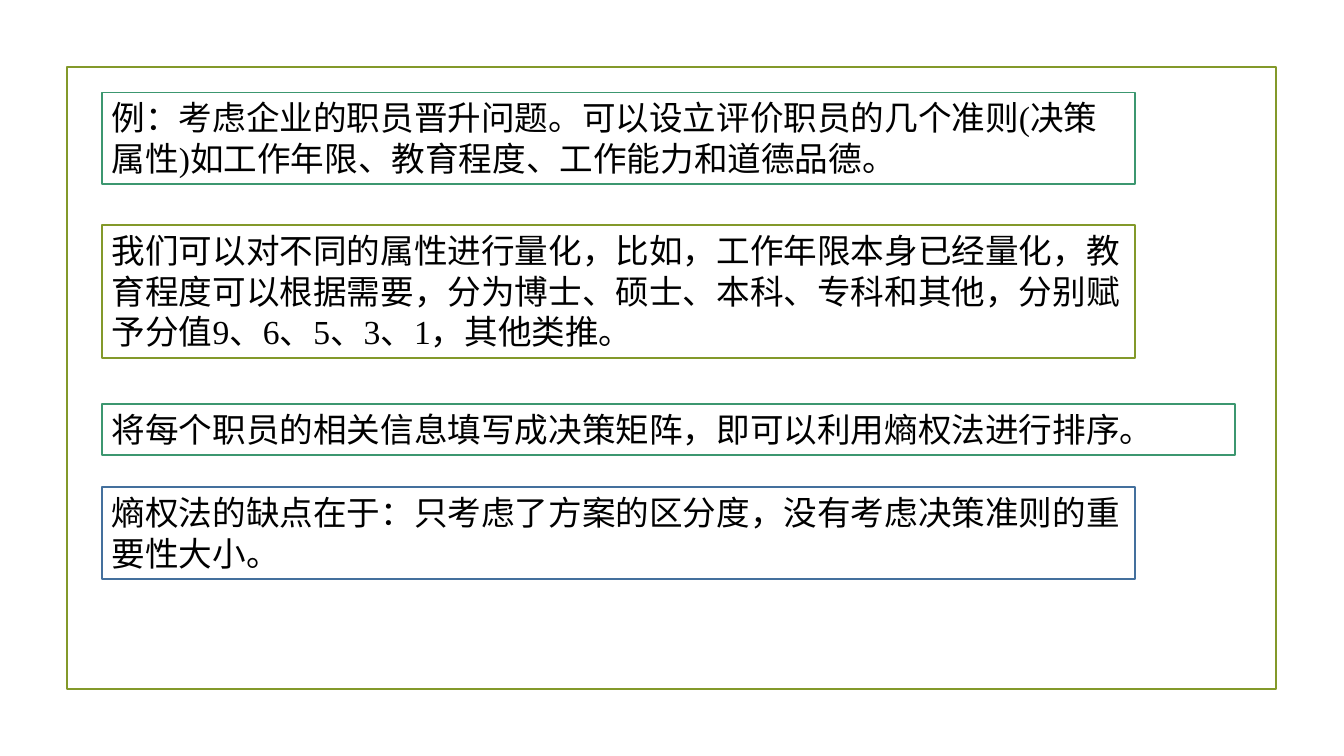
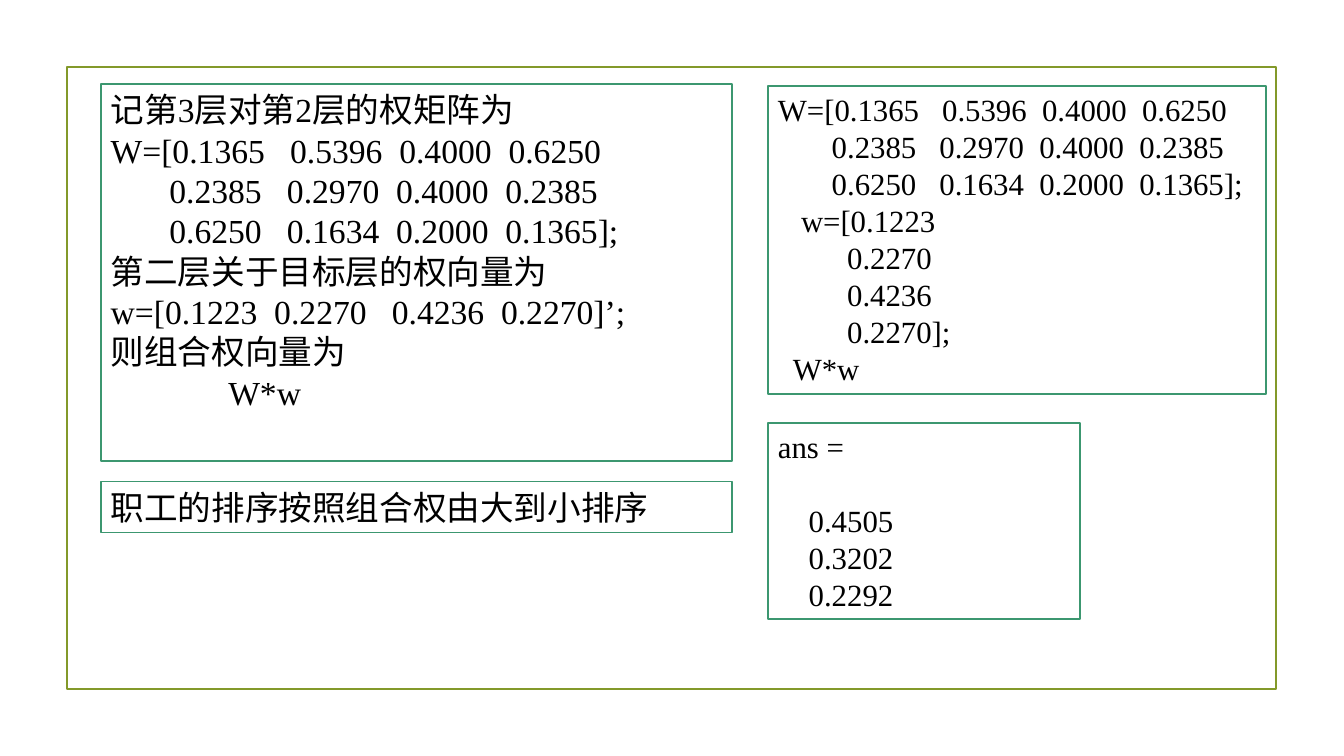
from pptx import Presentation
from pptx.dml.color import RGBColor
from pptx.enum import shapes
from pptx.util import Pt

OLIVE, GREEN, BLUE = "83992A", "3C9770", "44709D"
WHITE, BLACK = "FFFFFF", "000000"
FONT = "Times New Roman"


def rgb(value):
    return RGBColor.from_string(value)


def add_box(s, left, top, width, height, color, size, lines):
    sp = s.shapes.add_textbox(Pt(left), Pt(top), Pt(width), Pt(height))
    sp.fill.solid()
    sp.fill.fore_color.rgb = rgb(WHITE)
    sp.line.color.rgb = rgb(color)
    sp.line.width = Pt(1.25)
    tf = sp.text_frame
    tf.word_wrap = True
    for i, line in enumerate(lines):
        p = tf.paragraphs[0] if i == 0 else tf.add_paragraph()
        r = p.add_run()
        r.text = line
        r.font.name = FONT
        r.font.size = Pt(size)
        r.font.color.rgb = rgb(BLACK)
    return tf


prs = Presentation()
prs.slide_width, prs.slide_height = Pt(960), Pt(540)
blank = prs.slide_layouts[6]

s = prs.slides.add_slide(blank)
frame = s.shapes.add_shape(shapes.MSO_SHAPE.RECTANGLE, Pt(47.7), Pt(48), Pt(864), Pt(444))
frame.shadow.inherit = False
frame.fill.background()
frame.line.color.rgb = rgb(OLIVE)
frame.line.width = Pt(1.25)
prs.slide_master.shapes.element.append(frame.element)

statements = [
    (66, 738, 65.5, GREEN, "例：考虑企业的职员晋升问题。可以设立评价职员的几个准则(决策属性)如工作年限、教育程度、工作能力和道德品德。"),
    (161, 738, 94.5, OLIVE, "我们可以对不同的属性进行量化，比如，工作年限本身已经量化，教育程度可以根据需要，分为博士、硕士、本科、专科和其他，分别赋予分值9、6、5、3、1，其他类推。"),
    (288.5, 809.5, 36.4, GREEN, "将每个职员的相关信息填写成决策矩阵，即可以利用熵权法进行排序。"),
    (348, 738, 65.5, BLUE, "熵权法的缺点在于：只考虑了方案的区分度，没有考虑决策准则的重要性大小。"),
]
for top, width, height, color, line in statements:
    add_box(s, 72.7, top, width, height, color, 24, [line])

s = prs.slides.add_slide(blank)
matrix = [
    "W=[0.1365   0.5396  0.4000  0.6250",
    "       0.2385   0.2970  0.4000  0.2385",
    "       0.6250   0.1634  0.2000  0.1365];",
]
weights = [
    "记第3层对第2层的权矩阵为",
    *matrix,
    "第二层关于目标层的权向量为",
    "w=[0.1223  0.2270   0.4236  0.2270]’;",
    "则组合权向量为",
    "W*w",
]
code = [
    *matrix,
    "   w=[0.1223",
    "         0.2270",
    "         0.4236",
    "         0.2270];",
    "  W*w",
]
answer = ["ans =", "    0.4505", "    0.3202", "    0.2292"]

tf = add_box(s, 72, 60.3, 451, 269, GREEN, 24, weights)
tf.paragraphs[-1].alignment = None
p_pr = tf.paragraphs[-1]._p.get_or_add_pPr()
p_pr.set("marL", str(Pt(84)))
p_pr.set("indent", "0")

add_box(s, 548.6, 61.3, 355.6, 220.4, GREEN, 22, code)
tf = add_box(s, 548.6, 302, 223, 140.4, GREEN, 22, answer)
tf.paragraphs[1].space_before = Pt(26.4)
add_box(s, 72, 344, 451, 36.4, GREEN, 24, ["职工的排序按照组合权由大到小排序"])

prs.save("out.pptx")
